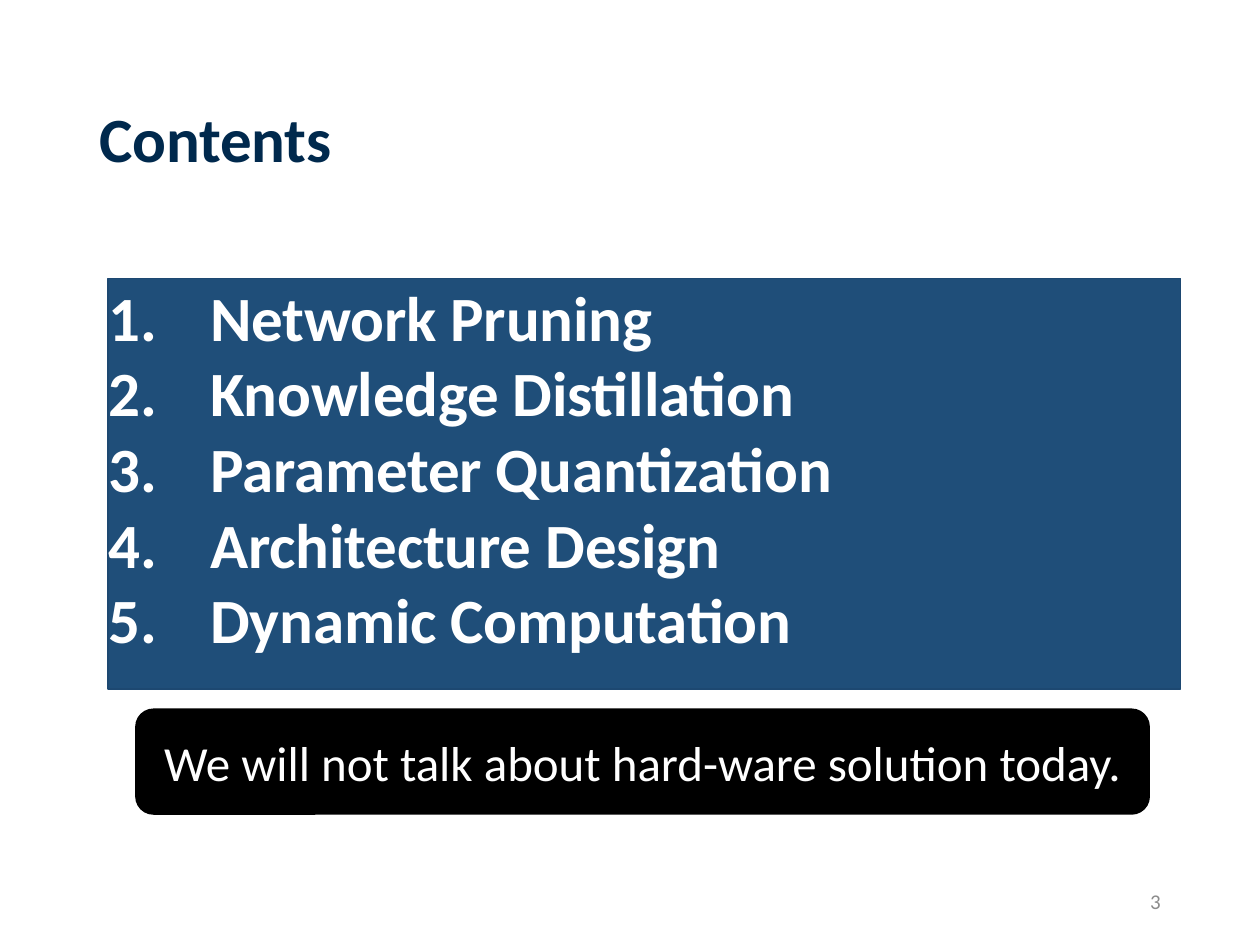
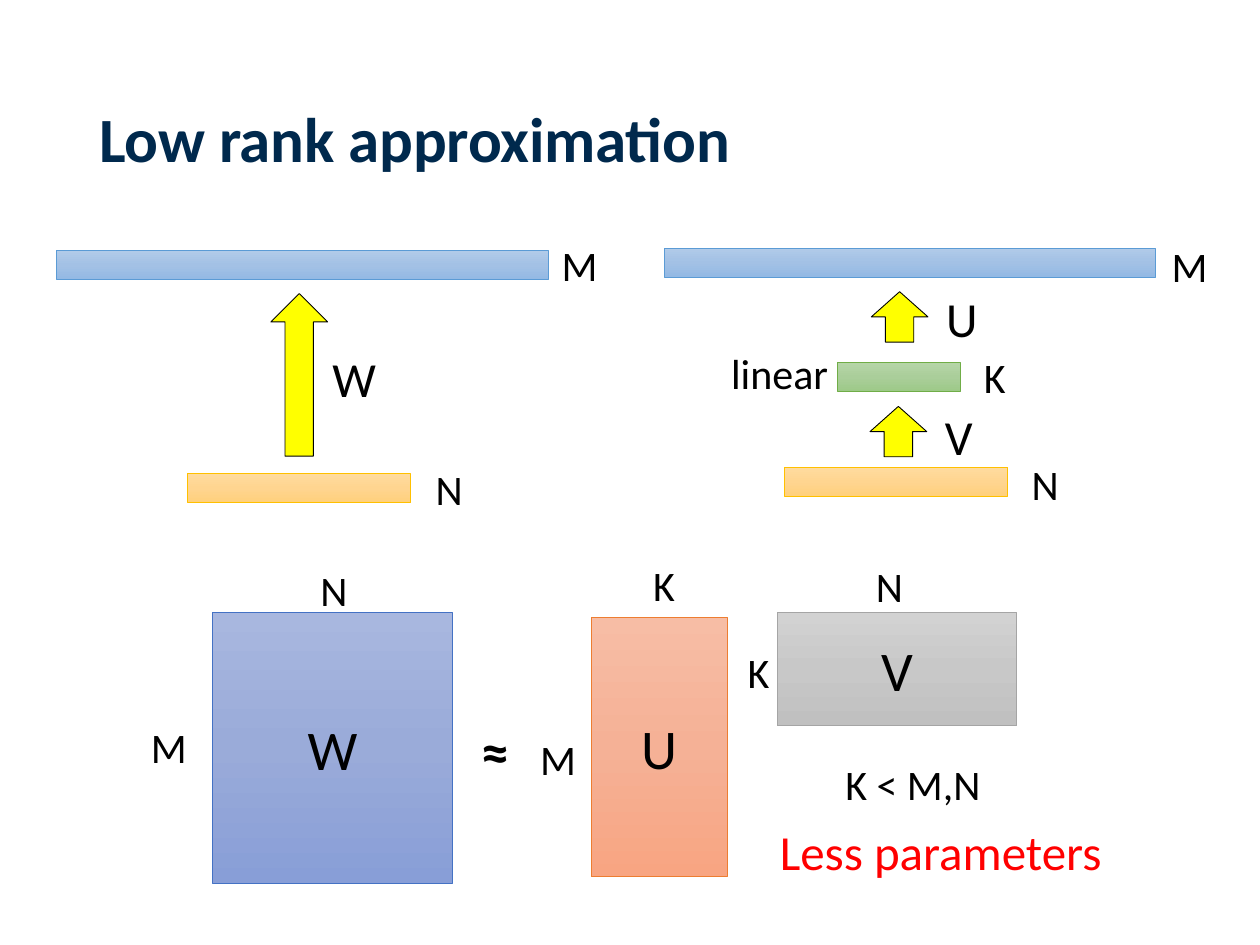
import copy

import pptx
import pptx.dml.color
import pptx.enum.shapes
import pptx.enum.text
import pptx.oxml
import pptx.oxml.ns
import pptx.util

Inches = pptx.util.Inches
Pt = pptx.util.Pt
rgb = pptx.dml.color.RGBColor.from_string
SHAPE = pptx.enum.shapes.MSO_SHAPE
ALIGN = pptx.enum.text.PP_ALIGN
ANCHOR = pptx.enum.text.MSO_ANCHOR
qn = pptx.oxml.ns.qn

FONT = "Calibri"
NAVY, PANEL, PANEL_EDGE = "00294D", "1F4E79", "1D4871"
BLACK, WHITE, GREY, RED, YELLOW = "000000", "FFFFFF", "8C8C8C", "FF0000", "FFFF00"

# Each tint: three gradient colours from top to bottom, then the outline
BLUE = ("B1CBE9", "A3C1E5", "93B9E4", "5B9BD5")
GOLD = ("FFDB9E", "FFD590", "FFD07C", "FFC000")
GREEN = ("B5D5A7", "AACE9A", "9CC987", "70AD47")
INDIGO = ("A8B7DF", "9AABD9", "889ED7", "4472C4")
ORANGE = ("F7BDA5", "F5B196", "F8A582", "ED7D31")
SILVER = ("D2D2D2", "C8C8C8", "C0C0C0", "A5A5A5")


def add_box(s, at, kind=None, fill=None, line=BLACK, width=0.5):
    """Add a preset shape with a solid fill or a four-colour tint; without kind, a text box."""
    at = [Inches(v) for v in at]
    if kind is None:
        return s.shapes.add_textbox(*at)
    sp = s.shapes.add_shape(kind, *at)
    sp.shadow.inherit = False
    if isinstance(fill, tuple):
        *colors, line = fill
        sp.fill.gradient()
        sp.fill.gradient_angle = 270
        stops = sp._element.spPr.find(".//" + qn("a:gsLst"))
        stops.insert(1, copy.deepcopy(stops[0]))
        for stop, color, position in zip(sp.fill.gradient_stops, colors, (0, 0.5, 1)):
            stop.color.rgb = rgb(color)
            stop.position = position
    else:
        sp.fill.solid()
        sp.fill.fore_color.rgb = rgb(fill)
    sp.line.color.rgb = rgb(line)
    sp.line.width = Pt(width)
    return sp


def write(sp, text, size=24, color=BLACK, bold=False, align=ALIGN.LEFT,
          anchor=ANCHOR.TOP, spacing=None, tracking=None, numbered=False):
    """Fill a shape with text, one paragraph a line."""
    tf = sp.text_frame
    tf.word_wrap = True
    tf.vertical_anchor = anchor
    for i, content in enumerate(text.split("\n")):
        p = tf.add_paragraph() if i else tf.paragraphs[0]
        p.alignment = align
        p.line_spacing = spacing
        if numbered:
            pPr = p._p.get_or_add_pPr()
            pPr.set("marL", str(Inches(0.81)))
            pPr.set("indent", str(Inches(-0.81)))
            pPr.append(pptx.oxml.parse_xml(
                f'<a:buAutoNum {pptx.oxml.ns.nsdecls("a")} type="arabicPeriod"/>'))
        r = p.add_run()
        r.text = content
        r.font.name = FONT
        r.font.size = Pt(size)
        r.font.bold = bold
        r.font.color.rgb = rgb(color)
        if tracking:
            r._r.get_or_add_rPr().set("spc", str(round(tracking * 100)))


prs = pptx.Presentation()
prs.slide_width, prs.slide_height = Inches(10), Inches(7.5)

slides = []
for title in ("Contents", "Low rank approximation"):
    s = prs.slides.add_slide(prs.slide_layouts[6])
    write(add_box(s, (0.69, 0.4, 8.62, 1.45)), title, size=36, color=NAVY, bold=True,
          anchor=ANCHOR.MIDDLE, spacing=0.9, tracking=-0.1)
    slides.append(s)
contents, low_rank = slides

# Contents
write(add_box(contents, (7.06, 6.95, 2.25, 0.4)), "3", size=12, color=GREY,
      align=ALIGN.RIGHT, anchor=ANCHOR.MIDDLE)

topics = add_box(contents, (0.86, 2.21, 8.51, 3.26), SHAPE.RECTANGLE, PANEL, PANEL_EDGE, 1)
tf = topics.text_frame
tf.margin_left = tf.margin_top = tf.margin_right = tf.margin_bottom = 0
write(topics, "Network Pruning\nKnowledge Distillation\nParameter Quantization\n"
      "Architecture Design\nDynamic Computation",
      size=36, color=WHITE, bold=True, tracking=-0.1, numbered=True)

note = add_box(contents, (1.08, 5.63, 8.04, 0.83), SHAPE.ROUNDED_RECTANGLE, BLACK, width=1)
write(note, "We will not talk about hard-ware solution today.", size=28, color=WHITE,
      align=ALIGN.CENTER, anchor=ANCHOR.MIDDLE)

# Low rank approximation: layers and the arrows between them
for x, y, w, tint in (
    (0.45, 1.99, 3.9, BLUE), (1.49, 3.76, 1.77, GOLD),
    (5.27, 1.97, 3.9, BLUE), (6.65, 2.88, 0.97, GREEN), (6.23, 3.71, 1.77, GOLD),
):
    add_box(low_rank, (x, y, w, 0.23), SHAPE.RECTANGLE, tint)

for x, y, length in ((1.73, 2.75, 1.29), (6.94, 2.29, 0.4), (6.93, 3.2, 0.4)):
    arrow = add_box(low_rank, (x, y, length, 0.45), SHAPE.RIGHT_ARROW, YELLOW)
    arrow.rotation = 270

for text, x, y in (("W", 2.54, 2.72), ("U", 7.41, 2.24), ("V", 7.4, 3.18)):
    write(add_box(low_rank, (x, y, 0.95, 0.57)), text, size=28)

for text, x, y in (("M", 4.36, 1.85), ("N", 3.36, 3.63), ("M", 9.2, 1.86),
                   ("N", 8.09, 3.59), ("K", 7.71, 2.74)):
    write(add_box(low_rank, (x, y, 0.64, 0.5)), text)
write(add_box(low_rank, (5.59, 2.71, 1.08, 0.5)), "linear", align=ALIGN.RIGHT)

# Low rank approximation: W ≈ U V as matrices
for text, at, tint in (
    ("W", (1.69, 4.86, 1.9, 2.15), INDIGO),
    ("U", (4.69, 4.9, 1.08, 2.06), ORANGE),
    ("V", (6.17, 4.86, 1.9, 0.9), SILVER),
):
    matrix = add_box(low_rank, at, SHAPE.RECTANGLE, tint)
    write(matrix, text, size=32, align=ALIGN.CENTER, anchor=ANCHOR.MIDDLE)

write(add_box(low_rank, (3.57, 5.64, 0.72, 0.64)), "≈", size=32, bold=True,
      align=ALIGN.CENTER)
for text, x, y in (("M", 0.99, 5.68), ("M", 4.08, 5.77), ("N", 2.3, 4.43),
                   ("N", 6.71, 4.4), ("K", 4.92, 4.39), ("K", 5.67, 5.08)):
    write(add_box(low_rank, (x, y, 0.7, 0.5)), text, align=ALIGN.CENTER)

write(add_box(low_rank, (6.09, 6.47, 2.92, 0.57)), "Less parameters", size=28, color=RED)
write(add_box(low_rank, (6.45, 5.97, 1.59, 0.5)), "K < M,N", align=ALIGN.CENTER)

prs.save("out.pptx")
